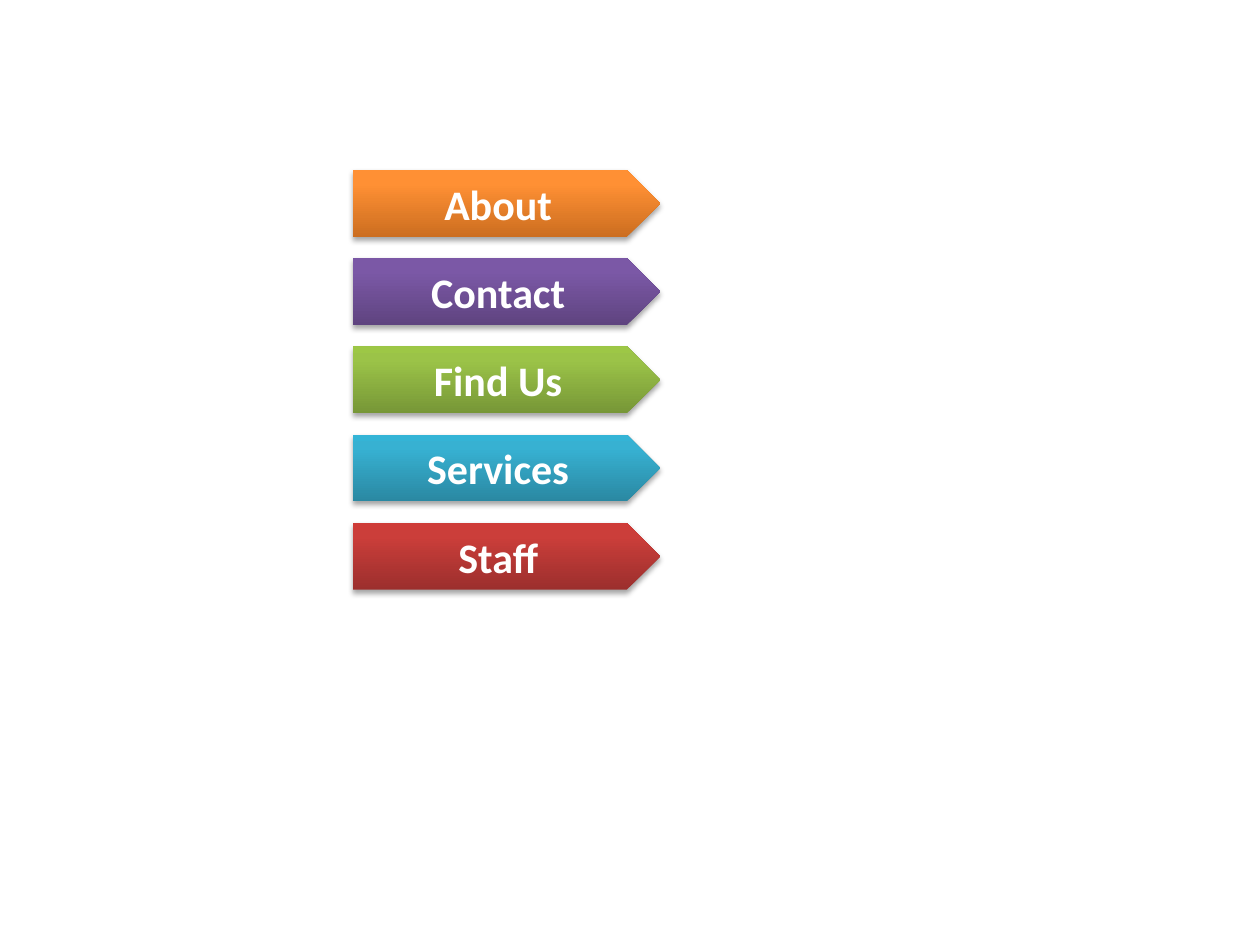
from lxml import etree
from pptx import Presentation
from pptx.dml.color import RGBColor
from pptx.enum import shapes, text
from pptx.oxml.ns import nsdecls, qn
from pptx.util import Inches, Pt

# Label and gradient colours from bottom to top
BUTTONS = [
    ("About", ("CC6E20", "FF9034", "FF9136")),
    ("Contact", ("5F4480", "7B58A6", "7C57A8")),
    ("Find Us", ("779737", "9BC348", "9DC746")),
    ("Services", ("2A88A2", "37B1D2", "34B4D6")),
    ("Staff", ("9C2F2D", "CB3E3A", "CE3B37")),
]
STOPS = (0, 80, 100)
LEFT, TOP, WIDTH, HEIGHT, PITCH = 2.8, 1.35, 2.44, 0.53, 0.7


def color(value):
    return RGBColor.from_string(value)


def write(frame, words, size=24, font="Calibri", ink="FFFFFF", bold=True):
    frame.vertical_anchor = text.MSO_ANCHOR.MIDDLE
    paragraph = frame.paragraphs[0]
    paragraph.alignment = text.PP_ALIGN.CENTER
    run = paragraph.add_run()
    run.text = words
    run.font.size, run.font.name, run.font.bold = Pt(size), font, bold
    run.font.color.rgb = color(ink)


def fill_upward(shape, colors):
    stops = "".join(
        f'<a:gs pos="{pos * 1000}"><a:srgbClr val="{value}"/></a:gs>'
        for pos, value in zip(STOPS, colors))
    gradient = etree.fromstring(
        f'<a:gradFill {nsdecls("a")} rotWithShape="1"><a:gsLst>{stops}</a:gsLst>'
        '<a:lin ang="16200000" scaled="0"/></a:gradFill>')
    shape.element.spPr.find(qn("a:prstGeom")).addnext(gradient)


def cast_shadow(shape, blur=3.1, distance=1.8, opacity=35):
    shape.shadow.inherit = False
    shape.element.spPr.find(qn("a:effectLst")).append(etree.fromstring(
        f'<a:outerShdw {nsdecls("a")} blurRad="{Pt(blur)}" dist="{Pt(distance)}" '
        'dir="5400000" rotWithShape="0"><a:srgbClr val="000000">'
        f'<a:alpha val="{opacity * 1000}"/></a:srgbClr></a:outerShdw>'))


deck = Presentation()
deck.slide_width, deck.slide_height = Inches(10), Inches(7.5)
slide = deck.slides.add_slide(deck.slide_layouts[6])

# Column of navigation buttons
for row, (label, colors) in enumerate(BUTTONS):
    button = slide.shapes.add_shape(
        shapes.MSO_SHAPE.PENTAGON, Inches(LEFT), Inches(TOP + row * PITCH),
        Inches(WIDTH), Inches(HEIGHT))
    button.line.fill.background()
    fill_upward(button, colors)
    cast_shadow(button)
    write(button.text_frame, label)

deck.save("out.pptx")
